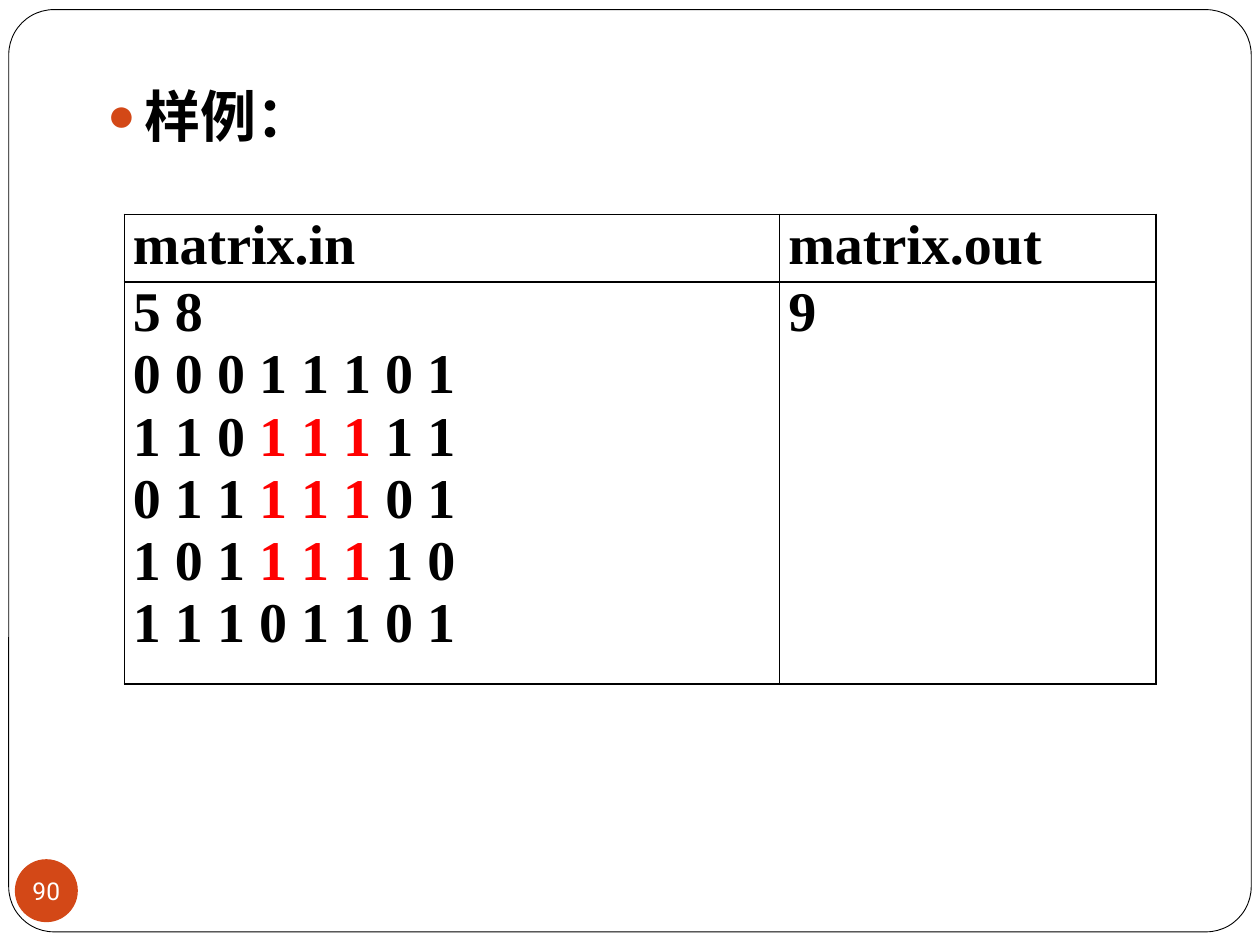
import pptx
import pptx.dml.color
import pptx.enum.shapes
import pptx.enum.text
import pptx.oxml
import pptx.oxml.ns
import pptx.util
from pptx.util import Pt

NAMESPACE = pptx.oxml.ns.nsdecls("a")
ALIGN = pptx.enum.text.PP_ALIGN
ANCHOR = pptx.enum.text.MSO_ANCHOR
SHAPE = pptx.enum.shapes.MSO_SHAPE
ACCENT = "D34817"


def color(value):
    return pptx.dml.color.RGBColor.from_string(value)


def add_run(paragraph, text, size=32, font="Times New Roman", fill="000000", bold=True):
    run = paragraph.add_run()
    run.text = text
    run.font.size = Pt(size)
    run.font.name = font
    run.font.bold = bold
    run.font.color.rgb = color(fill)


presentation = pptx.Presentation()
presentation.slide_width = Pt(720)
presentation.slide_height = Pt(540)
slide = presentation.slides.add_slide(presentation.slide_layouts[1])
title, body = slide.placeholders
title.element.getparent().remove(title.element)

# Frame and page number
frame = slide.shapes.add_shape(SHAPE.ROUNDED_RECTANGLE, Pt(5), Pt(5.5), Pt(710), Pt(527))
frame.adjustments[0] = 0.049
frame.shadow.inherit = False
frame.fill.solid()
frame.fill.fore_color.rgb = color("FFFFFF")
frame.line.color.rgb = color("000000")
frame.line.width = Pt(0.5)

badge = slide.shapes.add_shape(SHAPE.OVAL, Pt(8.5), Pt(491), Pt(36), Pt(36))
badge.shadow.inherit = False
badge.fill.solid()
badge.fill.fore_color.rgb = color(ACCENT)
badge.line.fill.background()
text_frame = badge.text_frame
text_frame.margin_left = text_frame.margin_right = 0
text_frame.margin_top = text_frame.margin_bottom = 0
text_frame.word_wrap = False
text_frame.vertical_anchor = ANCHOR.MIDDLE
paragraph = text_frame.paragraphs[0]
paragraph.alignment = ALIGN.CENTER
add_run(paragraph, "90", 14, "Roboto", "FFFFFF", False)

# Bulleted heading, brought in front of the frame
badge.element.addnext(body.element)
body.left, body.top, body.width, body.height = Pt(54), Pt(43), Pt(612), Pt(57)
body.text_frame.auto_size = pptx.enum.text.MSO_AUTO_SIZE.NONE
body.text_frame.vertical_anchor = ANCHOR.TOP
paragraph = body.text_frame.paragraphs[0]
paragraph.space_before = Pt(0)
properties = paragraph._p.get_or_add_pPr()
properties.set("marL", str(Pt(21.6)))
properties.set("indent", str(-Pt(21.6)))
for bullet in (
    f'<a:buClr {NAMESPACE}><a:srgbClr val="{ACCENT}"/></a:buClr>',
    f'<a:buSzPct {NAMESPACE} val="85000"/>',
    f'<a:buChar {NAMESPACE} char="●"/>',
):
    properties.append(pptx.oxml.parse_xml(bullet))
add_run(paragraph, "样例：")

# Sample table: each line is a list of runs, and every second run is highlighted
rows = [
    [[["matrix.in"]], [["matrix.out"]]],
    [
        [
            ["5 8"],
            ["0 0 0 1 1 1 0 1"],
            ["1 1 0 ", "1 1 1 ", "1 1"],
            ["0 1 1 ", "1 1 1 ", "0 1"],
            ["1 0 1 ", "1 1 1 ", "1 0"],
            ["1 1 1 0 1 1 0 1"],
        ],
        [["9"]],
    ],
]
table = slide.shapes.add_table(2, 2, Pt(71), Pt(122.5), Pt(589.5), Pt(268.5)).table
table.first_row = table.horz_banding = False
for column, width in zip(table.columns, (374.5, 215)):
    column.width = Pt(width)
for row, height in zip(table.rows, (38.5, 230)):
    row.height = Pt(height)

for row, contents in zip(table.rows, rows):
    for cell, lines in zip(row.cells, contents):
        cell.margin_left = cell.margin_right = Pt(5)
        cell.margin_top = cell.margin_bottom = 0
        cell_properties = cell._tc.get_or_add_tcPr()
        for side in ("lnL", "lnR", "lnT", "lnB"):
            cell_properties.append(pptx.oxml.parse_xml(
                f'<a:{side} {NAMESPACE} w="{Pt(1)}"><a:solidFill>'
                f'<a:srgbClr val="000000"/></a:solidFill></a:{side}>'))
        cell.fill.background()
        for index, line in enumerate(lines):
            paragraph = cell.text_frame.add_paragraph() if index else cell.text_frame.paragraphs[0]
            paragraph.alignment = ALIGN.JUSTIFY
            for position, text in enumerate(line):
                add_run(paragraph, text, fill="FF0000" if position % 2 else "000000")

presentation.save("out.pptx")
